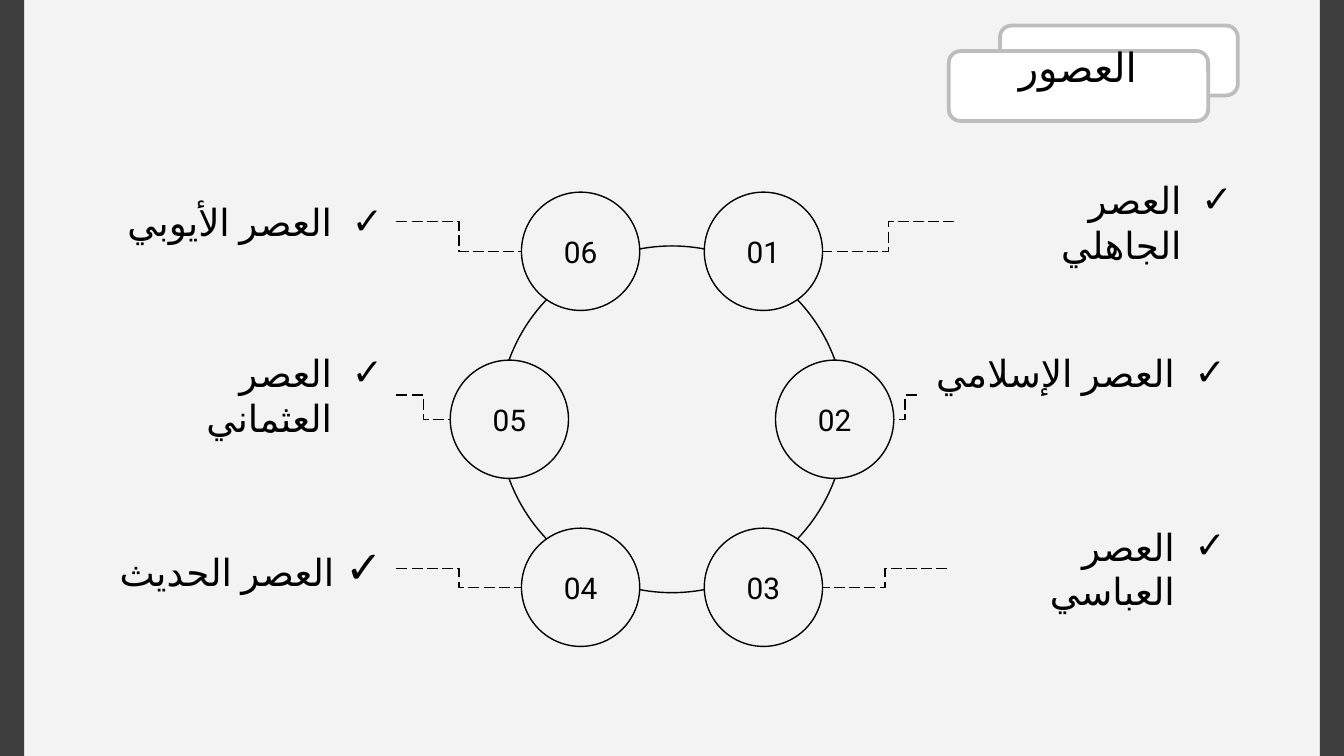
from math import cos, radians, sin
from lxml.etree import SubElement
from pptx import Presentation
from pptx.dml.color import RGBColor
from pptx.enum.dml import MSO_LINE as Dash
from pptx.enum.shapes import MSO_CONNECTOR as Link, MSO_SHAPE as Kind
from pptx.enum.text import MSO_ANCHOR as Anchor, PP_ALIGN as Align
from pptx.oxml.ns import qn
from pptx.util import Inches, Pt

FONT, INK, PAPER, WHITE, GREY = "Roboto", "000000", "F3F3F3", "FFFFFF", "BDBDBD"
TITLE = "العصور"

# Eras: number, side (1 right, -1 left), row, label runs, label left and width,
# hanging indent, upward shift of the label
ERAS = [
    ("01", 1, 0, [("العصر الجاهلي ", 20)], 7.1, 2.17, 0.38, 0),
    ("02", 1, 1, [("العصر الإسلامي", 20)], 6.82, 2.4, 0.38, 0.17),
    ("03", 1, 2, [("العصر العباسي", 20)], 7.05, 2.17, 0.38, 0),
    ("04", -1, 2, [(" ", 24), ("العصر الحديث", 20)], 0.78, 2.17, 0, 0),
    ("05", -1, 1, [("العصر العثماني ", 20)], 0.78, 2.17, 0.38, 0),
    ("06", -1, 0, [("العصر الأيوبي", 20)], 0.78, 2.17, 0.38, 0),
]

# Ring and rows
MID_X, MID_Y, RING, DISC = 5, 3.12, 2.58, 0.88
REACH = [0.68, 1.21, 0.68]  # disc centre from the middle, by row
DISC_GAP, TEXT_GAP, TEXT_MID, TEXT_H = 1.25, 1.29, 2.94, 0.42

# Book icon: left, top, width, height, turn, corner cut; then strokes
BOOKS = [
    (4.77, 2.92, 0.11, 0.43, 0, 0.02),
    (4.88, 2.89, 0.12, 0.46, 0, 0.02),
    (5.06, 2.91, 0.11, 0.43, -16.5, 0.02),
    (5.09, 3.02, 0.05, 0.22, -16.5, 0),
]
STROKES = [((4.77, y), (4.88, y)) for y in (2.96, 3, 3.27, 3.31)]
STROKES += [((4.88, y), (5, y)) for y in (2.98, 3.27)]
STROKES += [((4.82, 3.05), (4.82, 3.22)), ((4.94, 3.02), (4.94, 3.22))]

deck = Presentation()
deck.slide_width = Inches(10)
deck.slide_height = deck.slide_width * 9 // 16
slide = deck.slides.add_slide(deck.slide_layouts[6])


def color(code):
    return RGBColor.from_string(code)


def paint(fill, code):
    fill.solid()
    fill.fore_color.rgb = color(code)


def style(item, fill=None, line=None, width=0.75):
    item.shadow.inherit = False
    if fill:
        paint(item.fill, fill)
    else:
        item.fill.background()
    if line:
        item.line.color.rgb = color(line)
        item.line.width = Pt(width)
    else:
        item.line.fill.background()


def shape(kind, box, fill=None, line=None, width=0.75):
    item = slide.shapes.add_shape(kind, *map(Inches, box))
    style(item, fill, line, width)
    return item


def link(ends):
    item = slide.shapes.add_connector(Link.ELBOW, *map(Inches, ends))
    item.line.color.rgb = color(INK)
    item.line.width = Pt(0.75)
    item.line.dash_style = Dash.LONG_DASH
    SubElement(item._element.spPr, qn("a:effectLst"))


def write(item, runs, align, lang="en-US"):
    frame = item.text_frame
    frame.word_wrap = True
    frame.vertical_anchor = Anchor.MIDDLE
    frame.margin_left = frame.margin_right = Inches(0.1)
    frame.margin_top = frame.margin_bottom = Inches(0.1)
    para = frame.paragraphs[0]
    para.alignment = align
    for text, size in runs:
        run = para.add_run()
        run.text = text
        run.font.size = Pt(size)
        run.font.color.rgb = color(INK)
        run.font.name = FONT
        run._r.rPr.set("lang", lang)
    return para


def tick(para, indent):
    props = para._p.get_or_add_pPr()
    props.set("rtl", "1")
    props.set("marL", str(Inches(indent)))
    props.set("indent", str(-Inches(indent)))
    tint = SubElement(props, qn("a:buClr"))
    SubElement(tint, qn("a:srgbClr"), val=INK)
    SubElement(props, qn("a:buFont"), typeface=FONT)
    SubElement(props, qn("a:buChar"), char="✓")


def text_box(box):
    return slide.shapes.add_textbox(*map(Inches, box))


def outline(left, top, width, height, turn, cut):
    """Corner points of a turned box with cut corners."""
    w, h, a = width / 2, height / 2, radians(turn)
    spots = [(cut - w, -h), (w - cut, -h), (w, cut - h), (w, h - cut),
             (w - cut, h), (cut - w, h), (-w, h - cut), (-w, cut - h)]
    return [(left + w + x * cos(a) - y * sin(a), top + h + x * sin(a) + y * cos(a))
            for x, y in spots]


# Background and ring
paint(slide.background.fill, PAPER)
shape(Kind.OVAL, (MID_X - RING / 2, MID_Y - RING / 2, RING, RING), line=INK)

# Numbered discs, labels and dashed links
for num, side, row, runs, left, width, indent, lift in ERAS:
    x = MID_X + side * REACH[row]
    y = MID_Y + (row - 1) * DISC_GAP
    disc = shape(Kind.OVAL, (x - DISC / 2, y - DISC / 2, DISC, DISC), PAPER, INK)
    write(disc, [(num, 16)], Align.CENTER)

    text_y = TEXT_MID + (row - 1) * TEXT_GAP
    label = text_box((left, text_y - TEXT_H / 2 - lift, width, TEXT_H))
    tick(write(label, runs, Align.RIGHT, "ar-SA"), indent)

    start = left if side > 0 else left + width
    link((start, text_y, x + side * DISC / 2, y))

# Book icon
parts = [(outline(*book), True) for book in BOOKS]
parts += [(stroke, False) for stroke in STROKES]
pen = slide.shapes.build_freeform(*parts[0][0][0], scale=Inches(1))
for points, closed in parts:
    pen.move_to(*points[0])
    pen.add_line_segments(points[1:], close=closed)
style(pen.convert_to_shape(), line=INK, width=1.1)

# Side bars
for left in (9.82, 0):
    bar = shape(Kind.RECTANGLE, (left, 0, 0.18, 5.63), INK)
    tint = bar._element.spPr.find(qn("a:solidFill"))[0]
    SubElement(tint, qn("a:alpha"), val="74000")

# Title on two stacked cards
for box in ((7.44, 0.19, 1.77, 0.52), (7.06, 0.38, 1.93, 0.52)):
    shape(Kind.ROUNDED_RECTANGLE, box, WHITE, GREY, 2)
name = text_box((7.05, 0.27, 1.94, 0.52))
write(name, [(TITLE, 21.6)], Align.CENTER, "ar-SA").line_spacing = 0.8

deck.save("out.pptx")
